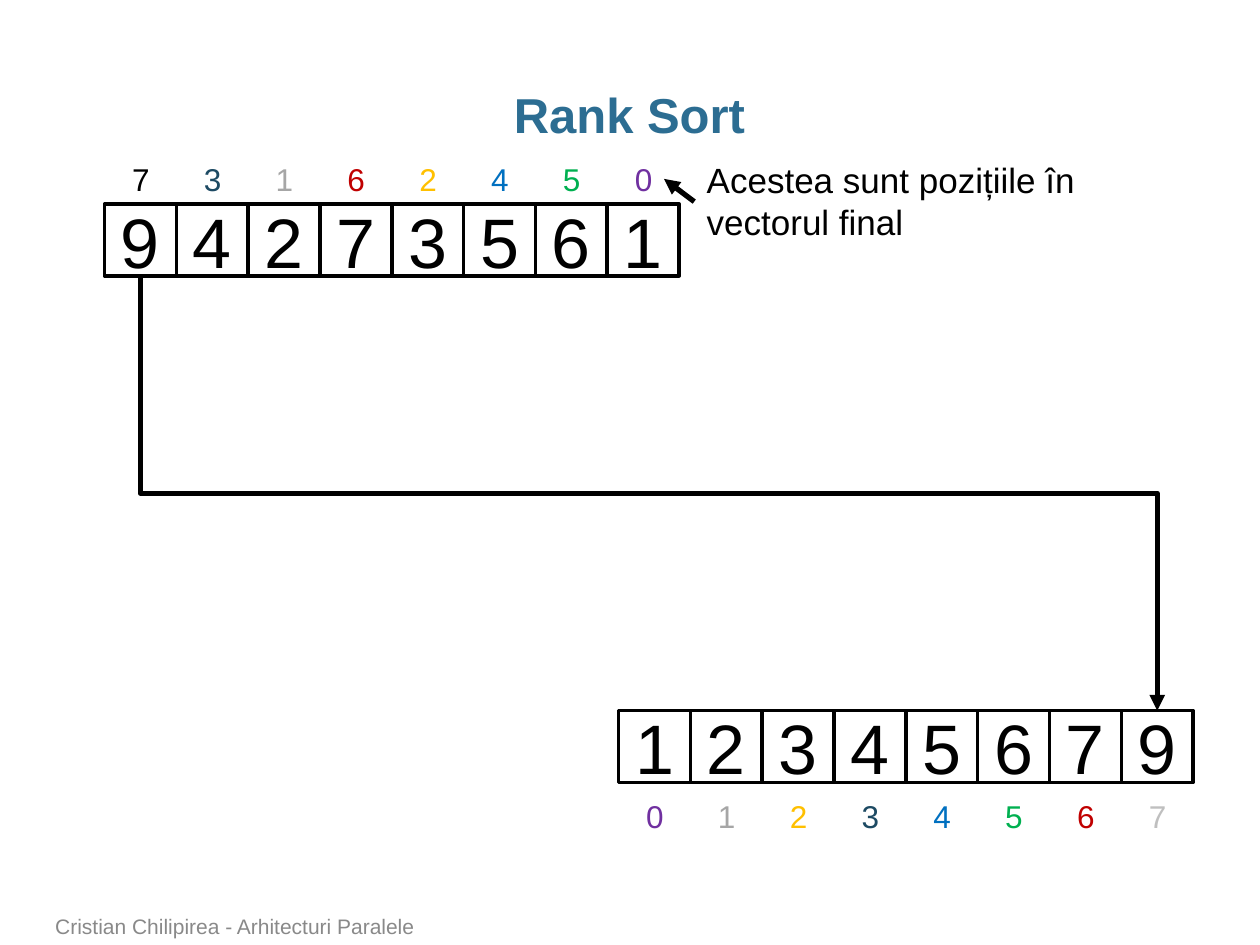
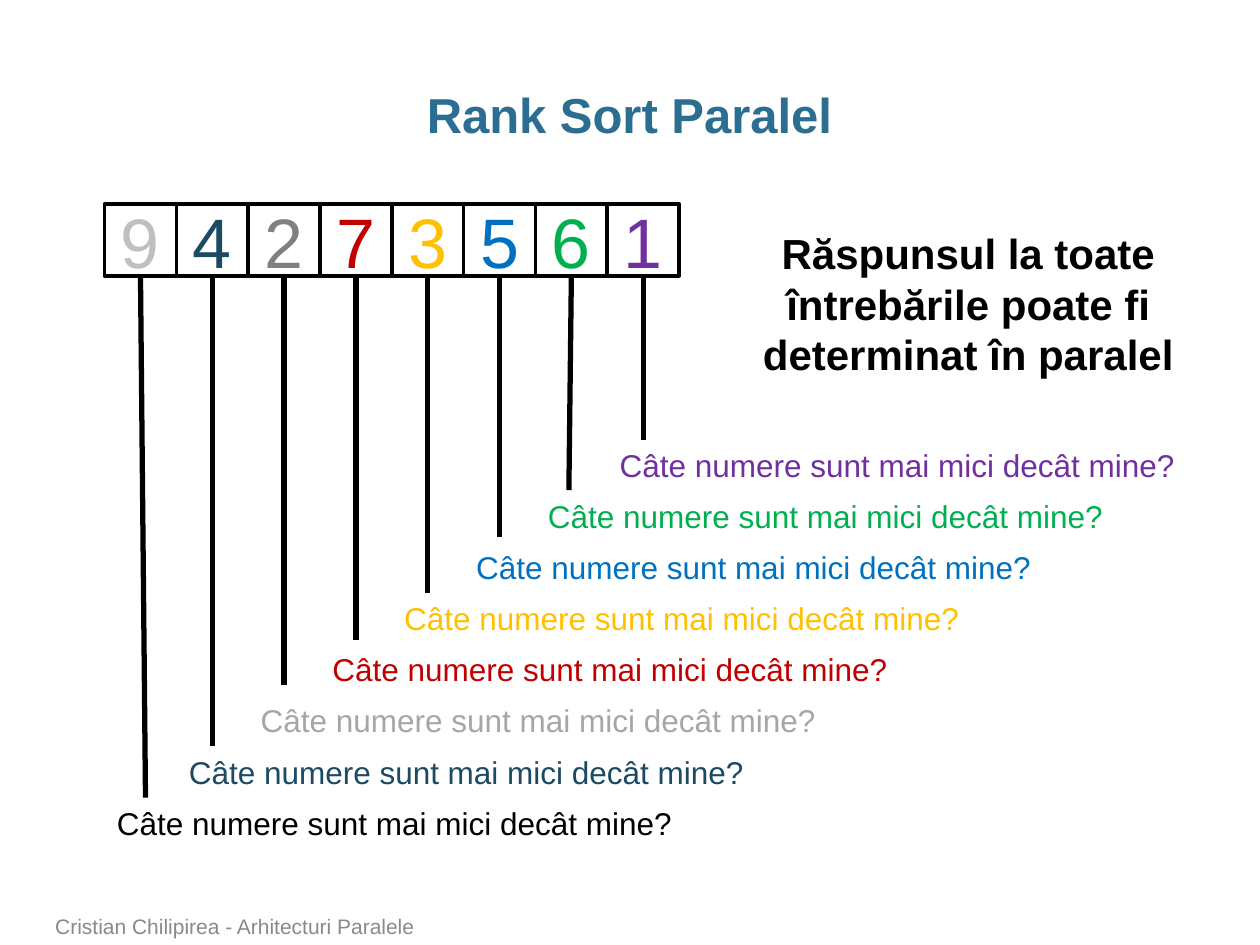
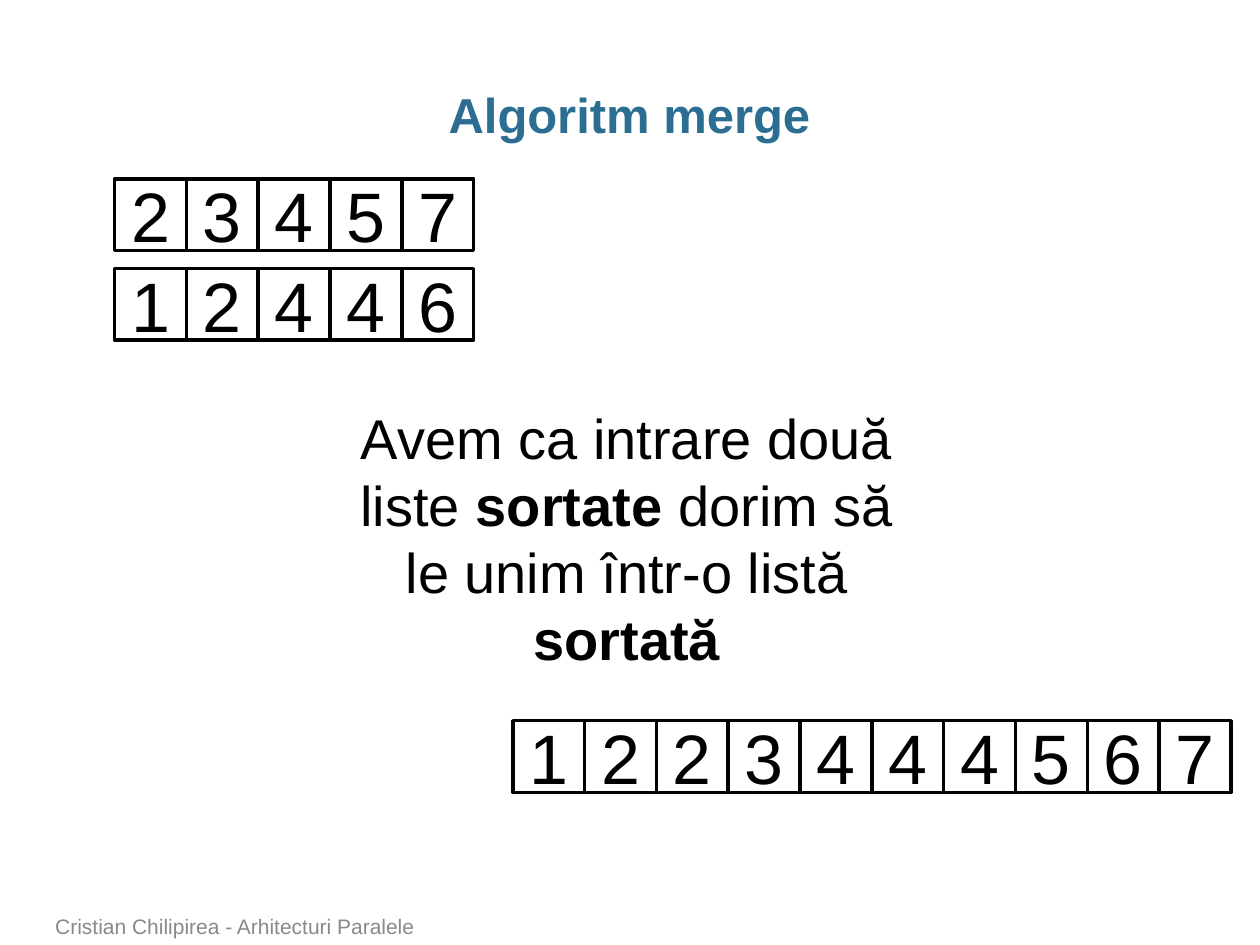
from dataclasses import dataclass

from lxml.etree import SubElement
from pptx import Presentation
from pptx.dml.color import RGBColor
from pptx.enum.shapes import MSO_CONNECTOR as Link, MSO_SHAPE as Preset
from pptx.enum.text import MSO_ANCHOR as Anchor, MSO_AUTO_SIZE as Fit, PP_ALIGN as Align
from pptx.oxml.ns import qn
from pptx.util import Emu, Pt

# Content
FOOTER = "Cristian Chilipirea - Arhitecturi Paralele"
UNSORTED = [9, 4, 2, 7, 3, 5, 6, 1]
SORTED = sorted(UNSORTED)
RANKS = [SORTED.index(number) for number in UNSORTED]
RANK_NOTE = "Acestea sunt pozițiile în vectorul final"
QUESTION = "Câte numere sunt mai mici decât mine?"
PARALLEL_NOTE = "Răspunsul la toate întrebările poate fi determinat în paralel"
MERGE_INPUTS = [[2, 3, 4, 5, 7], [1, 2, 4, 4, 6]]
MERGE_OUTPUT = sorted(sum(MERGE_INPUTS, []))
MERGE_NOTE = [("Avem ca intrare două liste ", False), ("sortate ", True),
              ("dorim să le unim într-o listă ", False), ("sortată", True)]


# Look
@dataclass(frozen=True)
class Theme:
    font: str = "Arial"
    title: str = "2C6D92"
    ink: str = "000000"
    footer: str = "898989"
    pale: str = "BFBFBF"
    grey: str = "808080"
    ranks: tuple = ("7030A0", "A6A6A6", "FFC000", "1D4A63",
                    "0070C0", "00B050", "C00000", "000000")
    title_size: int = 28
    cell_size: int = 40
    label_size: int = 18
    note_size: int = 20
    claim_size: int = 24
    body_size: int = 32
    footer_size: int = 12
    cell_line: int = 2
    link_line: int = 3


THEME = Theme()
PX = 9144  # 100 px to the inch
CELL = 57
LABEL_INSET = 12
LABEL_HEIGHT = 40
UPPER_ROW = (83, 162)
LOWER_ROW = (491, 564)
QUESTION_TOPS = (633, 349)  # first and last question
# Sideways shift and lower end of the line under each cell
LINE_ENDS = [(4, 633), (0, 592), (0, 544), (0, 508), (0, 471), (0, 426), (-2, 389), (0, 349)]


def px(*lengths):
    return [Emu(round(length * PX)) for length in lengths]


def write(frame, text, size, color=THEME.ink, bold=False, align=None, spacing=None):
    """Fill a frame with one paragraph; text is a string or (text, bold) spans."""
    para = frame.paragraphs[0]
    para.alignment = align
    para.line_spacing = spacing
    for words, heavy in [(text, bold)] if isinstance(text, str) else text:
        span = para.add_run()
        span.text = words
        span.font.name = THEME.font
        span.font.size = Pt(size)
        span.font.bold = heavy
        span.font.color.rgb = RGBColor.from_string(color)


def add_text(page, place, text, size, wrap=True, fit=Fit.SHAPE_TO_FIT_TEXT,
             anchor=Anchor.TOP, **look):
    frame = page.shapes.add_textbox(*px(*place)).text_frame
    frame.word_wrap = wrap
    frame.auto_size = fit
    frame.vertical_anchor = anchor
    write(frame, text, size, **look)


def add_page(deck, title):
    page = deck.slides.add_slide(deck.slide_layouts[5])
    box = page.shapes.title
    box.left, box.top, box.width, box.height = px(34, 68, 931, 50)
    frame = box.text_frame
    frame.margin_left = frame.margin_right = 0
    frame.margin_top, frame.margin_bottom = px(5, 5)
    frame.vertical_anchor = Anchor.MIDDLE
    write(frame, title, THEME.title_size, color=THEME.title, bold=True,
          align=Align.CENTER, spacing=0.95)
    add_text(page, (34, 722, 737, 28), FOOTER, THEME.footer_size,
             fit=Fit.NONE, anchor=Anchor.BOTTOM, color=THEME.footer)
    return page


def add_cells(page, corner, numbers, colors=None):
    left, top = corner
    for i, number in enumerate(numbers):
        cell = page.shapes.add_shape(Preset.RECTANGLE, *px(left + i * CELL, top, CELL, CELL))
        cell.shadow.inherit = False
        cell.fill.background()
        cell.line.color.rgb = RGBColor.from_string(THEME.ink)
        cell.line.width = Pt(THEME.cell_line)
        write(cell.text_frame, str(number), THEME.cell_size,
              color=colors[i] if colors else THEME.ink, align=Align.CENTER)


def add_ranks(page, left, top, ranks, colors):
    for i, rank in enumerate(ranks):
        add_text(page, (left + i * CELL + LABEL_INSET, top, 34, LABEL_HEIGHT), str(rank),
                 THEME.label_size, wrap=False, color=colors[i])


def add_link(page, start, end, kind=Link.STRAIGHT, arrow=False):
    link = page.shapes.add_connector(kind, *px(*start, *end))
    link.line.color.rgb = RGBColor.from_string(THEME.ink)
    link.line.width = Pt(THEME.link_line)
    properties = link._element.spPr
    if arrow:
        SubElement(properties.find(qn("a:ln")), qn("a:tailEnd"), type="triangle")
    SubElement(properties, qn("a:effectLst"))
    return link


def add_drop(page, start, end):
    """Elbow arrow that leaves downwards: a sideways elbow turned by 270 degrees."""
    middle_x, middle_y = (start[0] + end[0]) / 2, (start[1] + end[1]) / 2
    half_x, half_y = (end[0] - start[0]) / 2, (end[1] - start[1]) / 2
    link = add_link(page, (middle_x + half_y, middle_y - half_x),
                    (middle_x - half_y, middle_y + half_x), Link.ELBOW, arrow=True)
    link._element.spPr.find(qn("a:xfrm")).set("rot", str(270 * 60000))


def cell_middle(left, index):
    return left + (index + 0.5) * CELL


def build_rank_sort(deck):
    page = add_page(deck, "Rank Sort")
    (left, top), (low_left, low_top) = UPPER_ROW, LOWER_ROW
    add_cells(page, UPPER_ROW, UNSORTED)
    add_ranks(page, left, top - LABEL_HEIGHT, RANKS, [THEME.ranks[rank] for rank in RANKS])
    add_cells(page, LOWER_ROW, SORTED)
    add_ranks(page, low_left, 628, range(len(SORTED)), THEME.ranks[:-1] + (THEME.pale,))
    add_drop(page, (cell_middle(left, 0), top + CELL),
             (cell_middle(low_left, RANKS[0]), low_top))
    add_text(page, (551, 121, 415, 77), RANK_NOTE, THEME.note_size)
    add_link(page, (551, 160), (527, 142), arrow=True)


def build_parallel(deck):
    page = add_page(deck, "Rank Sort Paralel")
    left, top = UPPER_ROW
    colors = [THEME.ranks[rank] for rank in RANKS]
    cell_shades = {9: THEME.pale, 2: THEME.grey}
    add_cells(page, UPPER_ROW, UNSORTED,
              [cell_shades.get(number, color) for number, color in zip(UNSORTED, colors)])
    add_text(page, (585, 176, 367, 131), PARALLEL_NOTE, THEME.claim_size,
             bold=True, align=Align.CENTER)
    first, last = QUESTION_TOPS
    step = (last - first) / (len(UNSORTED) - 1)
    for i, (shift, bottom) in enumerate(LINE_ENDS):
        x = cell_middle(left, i)
        add_link(page, (x, top + CELL), (x + shift, bottom))
        add_text(page, (left + i * CELL, first + i * step, 465, LABEL_HEIGHT), QUESTION,
                 THEME.label_size, wrap=False, color=colors[i])


def build_merge(deck):
    page = add_page(deck, "Algoritm merge")
    add_text(page, (259, 315, 477, 232), MERGE_NOTE, THEME.body_size, align=Align.CENTER)
    for i, numbers in enumerate(MERGE_INPUTS):
        add_cells(page, (91, 142 + i * 71), numbers)
    add_cells(page, (407, 572), MERGE_OUTPUT)


def main():
    deck = Presentation()
    deck.slide_width, deck.slide_height = px(1000, 750)
    for build in (build_rank_sort, build_parallel, build_merge):
        build(deck)
    deck.save("out.pptx")


if __name__ == "__main__":
    main()
